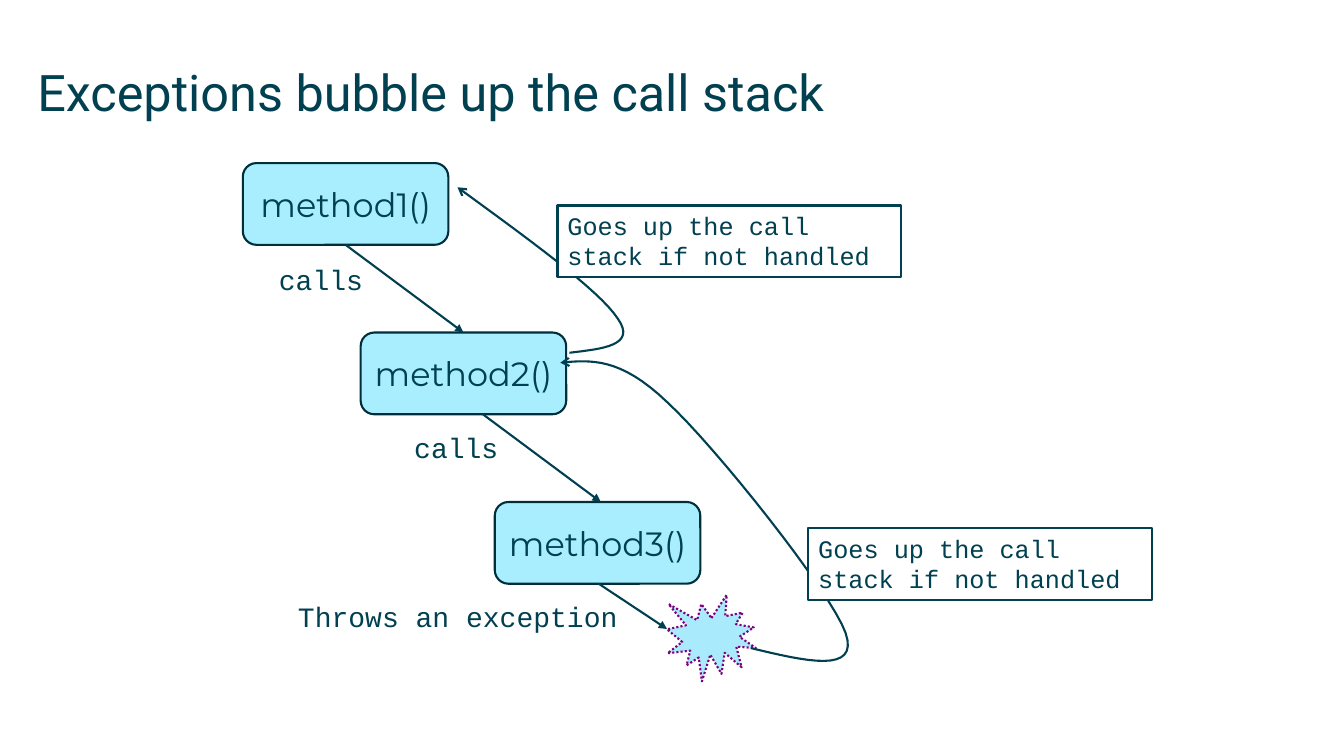
from dataclasses import dataclass

from lxml import etree
from pptx import Presentation
from pptx.dml.color import RGBColor
from pptx.enum.dml import MSO_LINE
from pptx.enum.shapes import MSO_CONNECTOR, MSO_SHAPE
from pptx.enum.text import MSO_ANCHOR, MSO_AUTO_SIZE, PP_ALIGN
from pptx.oxml.ns import qn
from pptx.util import Cm, Pt

RECT = MSO_SHAPE.RECTANGLE
ROUNDED = MSO_SHAPE.ROUNDED_RECTANGLE
BURST = MSO_SHAPE.EXPLOSION1
STRAIGHT = MSO_CONNECTOR.STRAIGHT
DOTTED = MSO_LINE.ROUND_DOT
TOP, MIDDLE = MSO_ANCHOR.TOP, MSO_ANCHOR.MIDDLE
LEFT, CENTER = PP_ALIGN.LEFT, PP_ALIGN.CENTER
FIT_SHAPE = MSO_AUTO_SIZE.SHAPE_TO_FIT_TEXT


@dataclass(frozen=True)
class Theme:
    ink: RGBColor = RGBColor(0x00, 0x40, 0x50)
    box_line: RGBColor = RGBColor(0x00, 0x2F, 0x3B)
    box_fill: RGBColor = RGBColor(0xA9, 0xEE, 0xFF)
    burst_fill: RGBColor = RGBColor(0x28, 0xCF, 0xF9)
    burst_line: RGBColor = RGBColor(0x7E, 0x00, 0x7C)
    white: RGBColor = RGBColor(0xFF, 0xFF, 0xFF)
    heading: str = "Roboto"
    body: str = "Montserrat"
    code: str = "Courier New"
    title_size: Pt = Pt(36)
    method_size: Pt = Pt(24)
    label_size: Pt = Pt(20)
    note_size: Pt = Pt(18)
    stroke: Pt = Pt(1.5)


THEME = Theme()
BOX_W, BOX_H = 5.18, 2.06
BOX_TOP, BOX_STEP = 4.11, 4.27
BOX_LEFTS = (6.12, 9.09, 12.47)
CURVE_STEPS = 16

# Cubic curves: a start point, then two controls and an end per segment
BURST_TO_METHOD2 = [
    (18.92, 16.33),
    (20.29, 16.66), (21.67, 16.99), (21.31, 15.95),
    (20.96, 14.94), (18.03, 11.25), (16.81, 10.13),
    (15.62, 8.99), (14.88, 9.07), (14.12, 9.14),
]
METHOD2_TO_METHOD1 = [
    (14.35, 8.89),
    (15.19, 8.79), (16.05, 8.71), (15.57, 8.03),
    (15.11, 7.32), (13.31, 6.02), (11.53, 4.72),
]


def write(tf, text, font, size, align=LEFT, anchor=TOP):
    tf.vertical_anchor = anchor
    p = tf.paragraphs[0]
    p.text = text
    p.alignment = align
    p.font.name = font
    p.font.size = size
    p.font.color.rgb = THEME.ink


def style_line(line, color=THEME.ink):
    line.color.rgb = color
    line.width = THEME.stroke


def add_arrowhead(line, kind):
    ln = line._get_or_add_ln()
    etree.SubElement(ln, qn("a:tailEnd"), type=kind)


def add_box(s, kind, x, y, w, h, fill, line):
    sp = s.shapes.add_shape(kind, Cm(x), Cm(y), Cm(w), Cm(h))
    sp.shadow.inherit = False
    sp.fill.solid()
    sp.fill.fore_color.rgb = fill
    style_line(sp.line, line)
    return sp


def add_title(s, text):
    sp = s.shapes.add_textbox(Cm(0.94), Cm(1.55), Cm(32), Cm(2.24))
    tf = sp.text_frame
    tf.word_wrap = True
    tf.margin_left = tf.margin_right = tf.margin_top = tf.margin_bottom = 0
    write(tf, text, THEME.heading, THEME.title_size)


def add_method(s, text, x, y):
    sp = add_box(s, ROUNDED, x, y, BOX_W, BOX_H, THEME.box_fill, THEME.box_line)
    write(sp.text_frame, text, THEME.body, THEME.method_size, CENTER, MIDDLE)


def add_label(s, text, x, y, w, wrap=False):
    sp = s.shapes.add_textbox(Cm(x), Cm(y), Cm(w), Cm(1.11))
    tf = sp.text_frame
    tf.word_wrap = wrap
    tf.auto_size = FIT_SHAPE
    write(tf, text, THEME.code, THEME.label_size)


def add_note(s, text, x, y):
    sp = add_box(s, RECT, x, y, 8.66, 1.8, THEME.white, THEME.ink)
    tf = sp.text_frame
    tf.word_wrap = True
    tf.auto_size = FIT_SHAPE
    write(tf, text, THEME.code, THEME.note_size)


def add_burst(s, x, y, w, h):
    sp = add_box(s, BURST, x, y, w, h, THEME.burst_fill, THEME.burst_line)
    sp.line.dash_style = DOTTED
    color = sp.fill._xPr.find(qn("a:solidFill"))[0]
    etree.SubElement(color, qn("a:alpha"), val="40000")


def add_arrow(s, x1, y1, x2, y2):
    c = s.shapes.add_connector(STRAIGHT, Cm(x1), Cm(y1), Cm(x2), Cm(y2))
    style_line(c.line)
    add_arrowhead(c.line, "triangle")
    etree.SubElement(c._element.spPr, qn("a:effectLst"))


def bezier(points, t):
    weights = ((1 - t) ** 3, 3 * t * (1 - t) ** 2, 3 * t * t * (1 - t), t ** 3)
    return tuple(
        Cm(sum(k * v for k, v in zip(weights, axis))) for axis in zip(*points)
    )


def add_curved_arrow(s, points):
    path = [
        bezier(points[i:i + 4], step / CURVE_STEPS)
        for i in range(0, len(points) - 1, 3)
        for step in range(1, CURVE_STEPS + 1)
    ]
    x, y = points[0]
    builder = s.shapes.build_freeform(Cm(x), Cm(y))
    builder.add_line_segments(path, close=False)
    sp = builder.convert_to_shape()
    sp.shadow.inherit = False
    sp.fill.background()
    style_line(sp.line)
    add_arrowhead(sp.line, "arrow")


def main():
    prs = Presentation()
    prs.slide_width, prs.slide_height = Cm(33.87), Cm(19.05)
    s = prs.slides.add_slide(prs.slide_layouts[6])

    add_title(s, "Exceptions bubble up the call stack")

    # Call stack
    tops = [BOX_TOP + i * BOX_STEP for i in range(len(BOX_LEFTS))]
    for i, (x, y) in enumerate(zip(BOX_LEFTS, tops), start=1):
        add_method(s, f"method{i}()", x, y)

    # Calls from one method to the next
    for x1, x2, top in ((8.71, 11.68, tops[0]), (12.17, 15.14, tops[1])):
        add_arrow(s, x1, top + BOX_H, x2, top + BOX_STEP)
    add_label(s, "calls", 6.78, 6.48, 2.64)
    add_label(s, "calls", 10.19, 10.72, 2.64)

    # Thrown exception
    add_burst(s, 16.81, 14.99, 2.24, 2.18)
    add_arrow(s, 15.09, tops[2] + BOX_H, 16.81, 15.85)
    add_label(s, "Throws an exception", 7.26, 14.99, 8.64, wrap=True)

    # Way back up the stack
    add_curved_arrow(s, BURST_TO_METHOD2)
    add_curved_arrow(s, METHOD2_TO_METHOD1)
    for x, y in ((20.37, 13.31), (14.05, 5.18)):
        add_note(s, "Goes up the call stack if not handled", x, y)

    prs.save("out.pptx")


if __name__ == "__main__":
    main()
